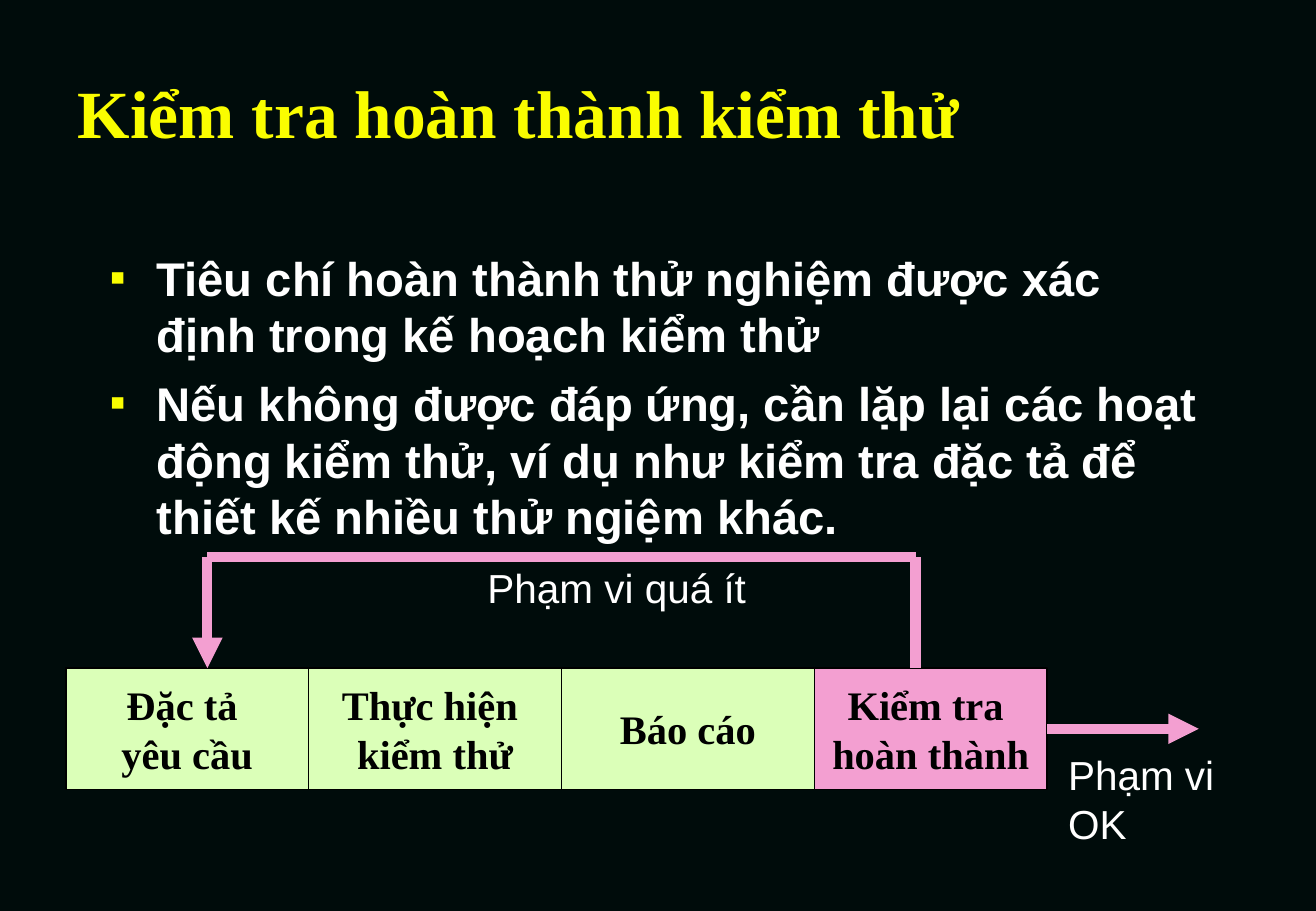
from dataclasses import dataclass

from lxml.etree import SubElement
from pptx import Presentation
from pptx.dml.color import RGBColor
from pptx.enum.shapes import MSO_CONNECTOR, MSO_SHAPE
from pptx.enum.text import MSO_ANCHOR, MSO_AUTO_SIZE, PP_ALIGN
from pptx.oxml.ns import qn
from pptx.slide import Slide
from pptx.text.text import TextFrame
from pptx.util import Inches, Length, Pt

BACKGROUND = RGBColor(0x00, 0x0C, 0x0B)
YELLOW = RGBColor(0xFA, 0xFD, 0x00)
WHITE = RGBColor(0xFF, 0xFF, 0xFF)
BLACK = RGBColor(0x00, 0x00, 0x00)
GREEN = RGBColor(0xDB, 0xFF, 0xB8)
PINK = RGBColor(0xF3, 0x9F, 0xD1)

SERIF = "Times New Roman"
SANS = "Arial"

# Grid of twelve cells to the inch; columns count from the left margin
CELLS_PER_INCH = 12
MARGIN = 6.5
STEP_TOP, STEP_HEIGHT = 66, 12
LOOP_TOP, LOOP_START, LOOP_END = 55, 84, 14
EXIT_ROW, EXIT_END = 72, 112


@dataclass(frozen=True)
class Area:
    column: float
    row: float
    columns: float
    rows: float

    def box(self) -> tuple[Length, Length, Length, Length]:
        return x(self.column), y(self.row), y(self.columns), y(self.rows)


@dataclass(frozen=True)
class Step:
    text: str
    columns: float
    color: RGBColor = GREEN


@dataclass(frozen=True)
class Label:
    text: str
    area: Area


@dataclass(frozen=True)
class Stroke:
    start: tuple[float, float]
    end: tuple[float, float]
    arrow: bool = False


TITLE = "Kiểm tra hoàn thành kiểm thử"
TITLE_AREA = Area(0, 7, 110.5, 8)
CRITERIA = (
    "Tiêu chí hoàn thành thử nghiệm được xác định trong kế hoạch kiểm thử\n"
    "Nếu không được đáp ứng, cần lặp lại các hoạt động kiểm thử, "
    "ví dụ như kiểm tra đặc tả để thiết kế nhiều thử ngiệm khác."
)
CRITERIA_AREA = Area(3.25, 24, 110.5, 56)

STEPS = [
    Step("Đặc tả \nyêu cầu", 24),
    Step("Thực hiện \nkiểm thử", 25),
    Step("Báo cáo", 25),
    Step("Kiểm tra \nhoàn thành", 23, PINK),
]
STEPS_END = sum(step.columns for step in STEPS)

STROKES = [
    Stroke((LOOP_START, STEP_TOP), (LOOP_START, LOOP_TOP)),
    Stroke((LOOP_START, LOOP_TOP), (LOOP_END, LOOP_TOP)),
    Stroke((LOOP_END, LOOP_TOP), (LOOP_END, STEP_TOP), arrow=True),
    Stroke((STEPS_END, EXIT_ROW), (EXIT_END, EXIT_ROW), arrow=True),
]
LABELS = [
    Label("Phạm vi quá ít", Area(40.5, 55, 28, 6)),
    Label("Phạm vi\nOK", Area(97.9, 73.5, 16.8, 10.8)),
]


def x(column: float) -> Length:
    return Inches((MARGIN + column) / CELLS_PER_INCH)


def y(row: float) -> Length:
    return Inches(row / CELLS_PER_INCH)


def write(frame: TextFrame, text: str, font: str, size: int, color: RGBColor,
          bold: bool = True, align: PP_ALIGN = PP_ALIGN.LEFT,
          wrap: bool = True) -> None:
    frame.text = text
    frame.word_wrap = wrap
    frame.auto_size = MSO_AUTO_SIZE.NONE
    for paragraph in frame.paragraphs:
        paragraph.alignment = align
        for run in paragraph.runs:
            run.font.name = font
            run.font.size = Pt(size)
            run.font.bold = bold
            run.font.color.rgb = color


def add_title(slide: Slide) -> None:
    title = slide.shapes.title
    title.left, title.top, title.width, title.height = TITLE_AREA.box()
    write(title.text_frame, TITLE, SERIF, 40, YELLOW)
    title.text_frame.vertical_anchor = MSO_ANCHOR.MIDDLE


def add_criteria(slide: Slide) -> None:
    frame = slide.shapes.add_textbox(*CRITERIA_AREA.box()).text_frame
    write(frame, CRITERIA, SANS, 28, WHITE)
    for paragraph in frame.paragraphs:
        paragraph.space_before = Pt(7)
        # Square yellow bullet with a hanging indent
        properties = paragraph._p.get_or_add_pPr()
        properties.set("marL", str(Inches(0.38)))
        properties.set("indent", str(-Inches(0.38)))
        bullet_color = SubElement(properties, qn("a:buClr"))
        SubElement(bullet_color, qn("a:srgbClr"), val=str(YELLOW))
        SubElement(properties, qn("a:buSzPct"), val="50000")
        SubElement(properties, qn("a:buFont"), typeface=SANS)
        SubElement(properties, qn("a:buChar"), char="■")


def add_step(slide: Slide, step: Step, column: float) -> None:
    area = Area(column, STEP_TOP, step.columns, STEP_HEIGHT)
    box = slide.shapes.add_shape(MSO_SHAPE.RECTANGLE, *area.box())
    box.shadow.inherit = False
    box.fill.solid()
    box.fill.fore_color.rgb = step.color
    box.line.color.rgb = BLACK
    box.line.width = Pt(1)
    write(box.text_frame, step.text, SERIF, 24, BLACK,
          align=PP_ALIGN.CENTER, wrap=False)
    box.text_frame.vertical_anchor = MSO_ANCHOR.MIDDLE


def add_stroke(slide: Slide, stroke: Stroke) -> None:
    (start_column, start_row), (end_column, end_row) = stroke.start, stroke.end
    connector = slide.shapes.add_connector(
        MSO_CONNECTOR.STRAIGHT,
        x(start_column), y(start_row), x(end_column), y(end_row))
    connector.line.color.rgb = PINK
    connector.line.width = Pt(6)
    if stroke.arrow:
        SubElement(connector.line._get_or_add_ln(), qn("a:tailEnd"), type="triangle")
    SubElement(connector._element.spPr, qn("a:effectLst"))


def add_label(slide: Slide, label: Label) -> None:
    frame = slide.shapes.add_textbox(*label.area.box()).text_frame
    write(frame, label.text, SANS, 24, WHITE, bold=False, wrap=False)


def main() -> None:
    presentation = Presentation()
    presentation.slide_width = Inches(10.84)
    presentation.slide_height = Inches(7.5)
    slide = presentation.slides.add_slide(
        presentation.slide_layouts.get_by_name("Title Only"))
    slide.background.fill.solid()
    slide.background.fill.fore_color.rgb = BACKGROUND

    # Heading and criteria
    add_title(slide)
    add_criteria(slide)

    # Process steps, side by side
    column = 0
    for step in STEPS:
        add_step(slide, step, column)
        column += step.columns

    # Return loop and exit arrow with their labels
    for stroke in STROKES:
        add_stroke(slide, stroke)
    for label in LABELS:
        add_label(slide, label)

    presentation.save("out.pptx")


if __name__ == "__main__":
    main()
